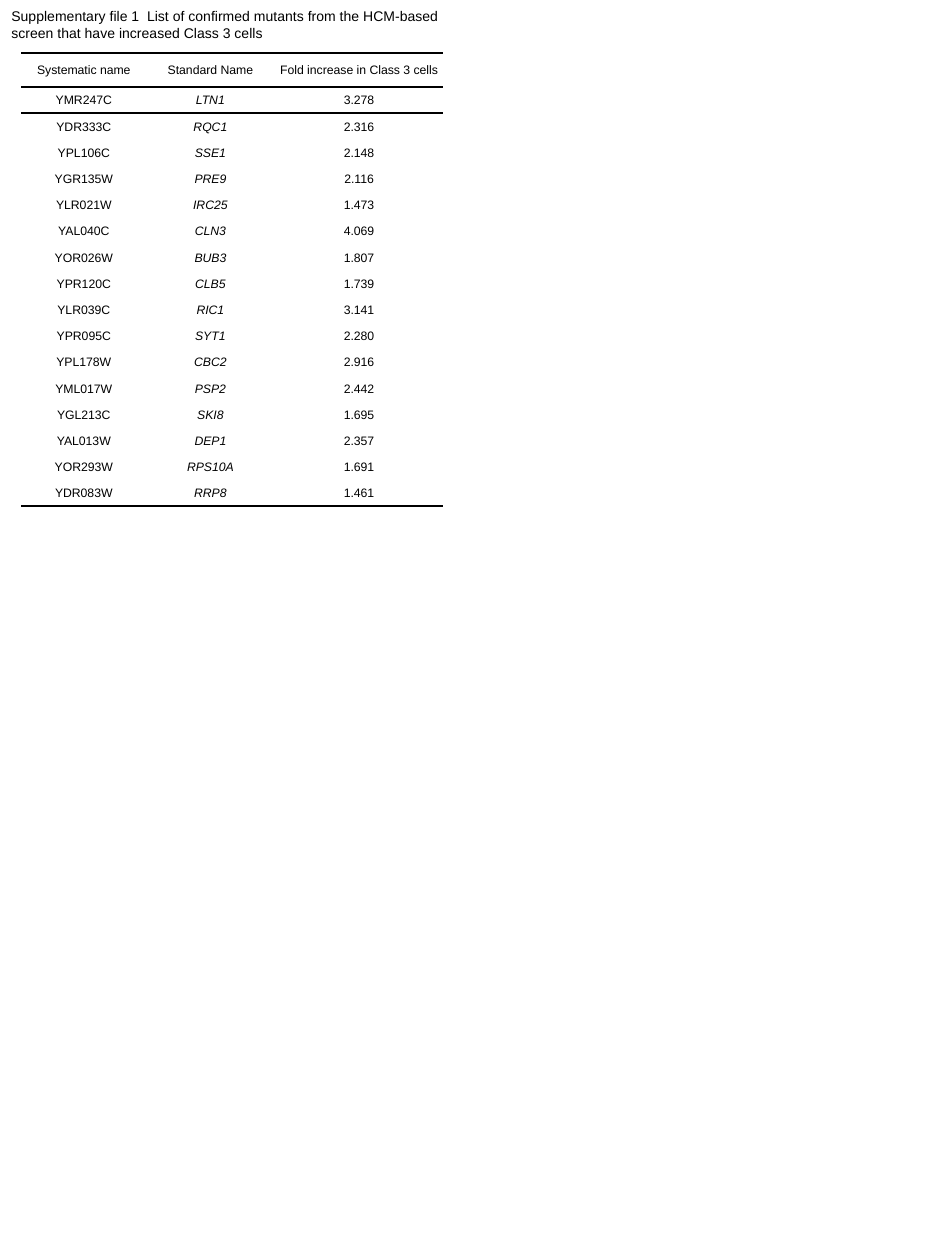
from dataclasses import dataclass

from lxml.etree import SubElement
from pptx import Presentation
from pptx.dml.color import RGBColor as Color
from pptx.enum.text import MSO_ANCHOR as Anchor, MSO_AUTO_SIZE as AutoSize, PP_ALIGN as Align
from pptx.oxml.ns import qn
from pptx.util import Inches, Pt


@dataclass(frozen=True)
class Theme:
    font: str = "Arial"
    ink: str = "000000"
    title_size: int = 8
    table_size: int = 7
    rule_width: int = 1


THEME = Theme()
PLAIN_TABLE_STYLE = "{2D5ABB26-0587-4C30-8999-92F81FD0307C}"
TITLE_LINES = (
    "Supplementary file 1  List of confirmed mutants from the HCM-based",
    "screen that have increased Class 3 cells",
)
HEADER = ("Systematic name", "Standard Name", "Fold increase in Class 3 cells")
MUTANTS = (
    ("YMR247C", "LTN1", "3.278"),
    ("YDR333C", "RQC1", "2.316"),
    ("YPL106C", "SSE1", "2.148"),
    ("YGR135W", "PRE9", "2.116"),
    ("YLR021W", "IRC25", "1.473"),
    ("YAL040C", "CLN3", "4.069"),
    ("YOR026W", "BUB3", "1.807"),
    ("YPR120C", "CLB5", "1.739"),
    ("YLR039C", "RIC1", "3.141"),
    ("YPR095C", "SYT1", "2.280"),
    ("YPL178W", "CBC2", "2.916"),
    ("YML017W", "PSP2", "2.442"),
    ("YGL213C", "SKI8", "1.695"),
    ("YAL013W", "DEP1", "2.357"),
    ("YOR293W", "RPS10A", "1.691"),
    ("YDR083W", "RRP8", "1.461"),
)
COLUMN_WIDTHS = (0.99, 1.02, 1.34)
TABLE_HEIGHT = 3.6
HEADER_HEIGHT = 0.27
NAME_COLUMN = 1


def apply_format(target, values):
    for name, value in values.items():
        setattr(target, name, value)


def write_text(para, text, size, align, italic=False):
    para.alignment = align
    span = para.add_run()
    span.text = text
    apply_format(span.font, {
        "name": THEME.font, "size": Pt(size), "bold": False, "italic": italic,
    })
    span.font.color.rgb = Color.from_string(THEME.ink)


def add_title(page):
    title = page.shapes.title
    apply_format(title, {
        "left": Inches(-0.01), "top": Inches(0.01),
        "width": Inches(3.75), "height": Inches(0.37),
    })
    frame = title.text_frame
    apply_format(frame, {
        "word_wrap": True,
        "auto_size": AutoSize.SHAPE_TO_FIT_TEXT,
        "vertical_anchor": Anchor.TOP,
    })
    for index, line in enumerate(TITLE_LINES):
        para = frame.add_paragraph() if index else frame.paragraphs[0]
        write_text(para, line, THEME.title_size, Align.LEFT)


def add_rule(cell, edge):
    properties = cell._tc.get_or_add_tcPr()
    line = SubElement(properties, qn(f"a:{edge}"), w=str(Pt(THEME.rule_width)))
    fill = SubElement(line, qn("a:solidFill"))
    SubElement(fill, qn("a:srgbClr"), val=THEME.ink)


def fill_cell(cell, text, italic, edges):
    apply_format(cell, {
        "vertical_anchor": Anchor.MIDDLE,
        "margin_left": Inches(0.01), "margin_right": Inches(0.01),
        "margin_top": Inches(0.01), "margin_bottom": 0,
    })
    for edge in edges:
        add_rule(cell, edge)
    cell.fill.background()
    write_text(cell.text_frame.paragraphs[0], text, THEME.table_size, Align.CENTER, italic)


def add_mutant_table(page):
    rows = (HEADER, *MUTANTS)
    frame = page.shapes.add_table(
        len(rows), len(HEADER), Inches(0.17), Inches(0.42),
        Inches(sum(COLUMN_WIDTHS)), Inches(TABLE_HEIGHT),
    )
    table = frame.table
    apply_format(table, {"first_row": False, "horz_banding": False})
    for style in frame.element.iter(qn("a:tableStyleId")):
        style.text = PLAIN_TABLE_STYLE
    for column, width in zip(table.columns, COLUMN_WIDTHS):
        column.width = Inches(width)
    body_height = (TABLE_HEIGHT - HEADER_HEIGHT) / len(MUTANTS)
    edges = {0: ("lnT", "lnB"), 1: ("lnT",), len(MUTANTS): ("lnB",)}
    for row_index, values in enumerate(rows):
        table.rows[row_index].height = Inches(body_height if row_index else HEADER_HEIGHT)
        for column_index, text in enumerate(values):
            italic = row_index > 0 and column_index == NAME_COLUMN
            fill_cell(table.cell(row_index, column_index), text, italic, edges.get(row_index, ()))


def main():
    deck = Presentation()
    apply_format(deck, {"slide_width": Inches(7.5), "slide_height": Inches(10)})
    page = deck.slides.add_slide(deck.slide_layouts.get_by_name("Title Only"))
    add_mutant_table(page)
    add_title(page)
    deck.save("out.pptx")


main()
